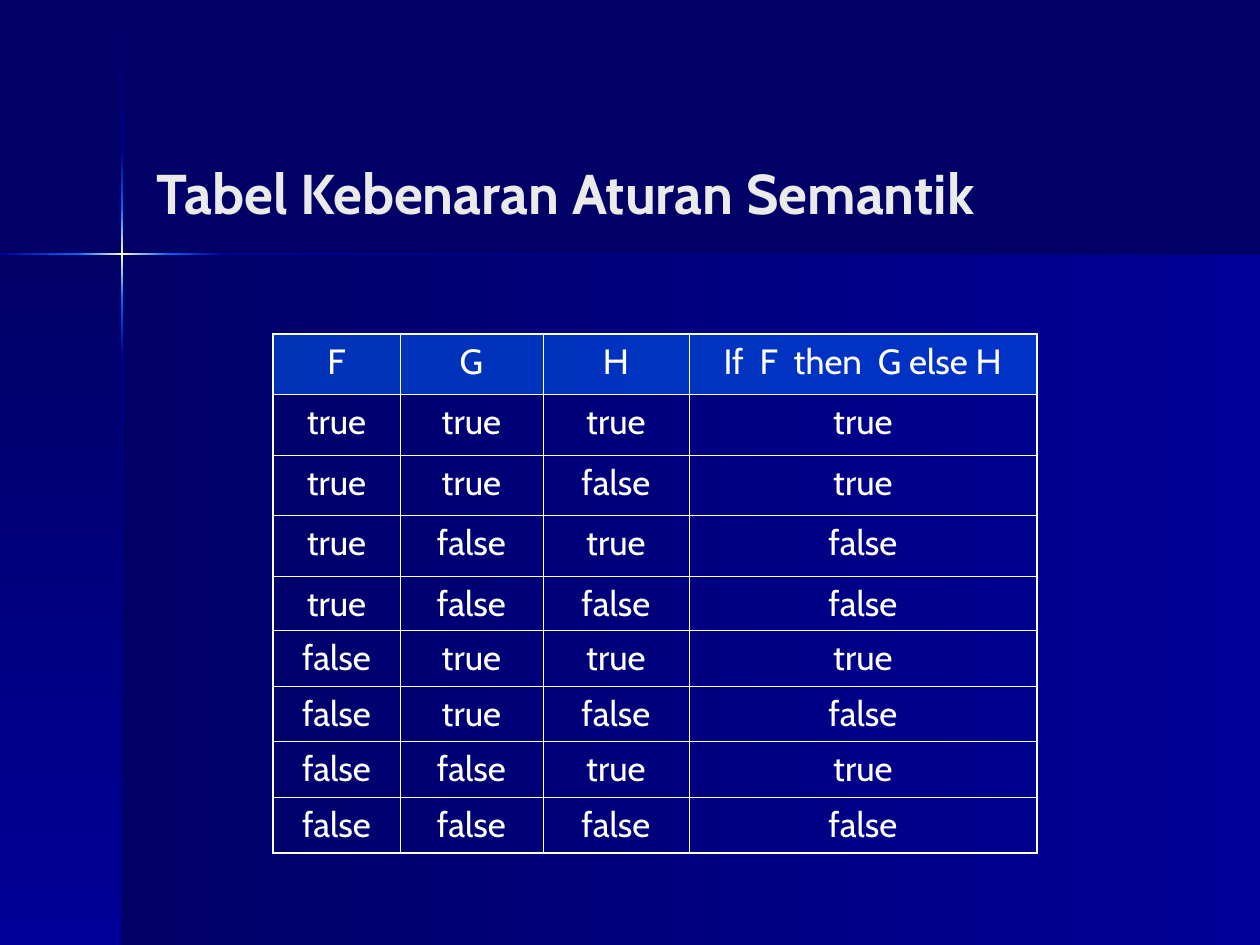
from itertools import pairwise, product

from pptx import Presentation
from pptx import util as u
from pptx.dml import color
from pptx.enum import shapes, text
from pptx.oxml import ns, parse_xml

COLORS = {
    "night": "000066",
    "royal": "000099",
    "azure": "0066FF",
    "cream": "FFFFCC",
    "title": "EAEAEA",
    "white": "FFFFFF",
}
RAY_STOPS = [
    ("night", "royal"),
    ("royal", "azure"),
    ("azure", "cream", "azure"),
    ("azure", "royal"),
    ("royal", "night"),
]
FORMATS = {
    "title": {"name": "Cabin", "size": u.Pt(32), "bold": True},
    "cell": {"name": "Cabin", "size": u.Pt(20), "bold": False},
}
OUTER, INNER = u.Pt(1.08), u.Pt(0.45)


def px(length):
    return u.Emu(round(length * 914400 / 126))


def rgb(name):
    return color.RGBColor.from_string(COLORS[name])


class SlideBuilder:
    def __init__(self, presentation):
        self.slide = presentation.slides.add_slide(presentation.slide_layouts[6])

    def background(self, name):
        fill = self.slide.background.fill
        fill.solid()
        fill.fore_color.rgb = rgb(name)

    def gradient(self, left, top, width, height, stops, vertical):
        shape = self.slide.shapes.add_shape(
            shapes.MSO_SHAPE.RECTANGLE, *map(px, (left, top, width, height)))
        shape.shadow.inherit = False
        shape.line.fill.background()
        shape.fill.background()
        step = 100000 // (len(stops) - 1)
        marks = "".join(
            f'<a:gs pos="{index * step}"><a:srgbClr val="{COLORS[name]}"/></a:gs>'
            for index, name in enumerate(stops))
        angle = 5400000 if vertical else 0
        properties = shape._element.spPr
        properties.replace(properties.find(ns.qn("a:noFill")), parse_xml(
            f'<a:gradFill {ns.nsdecls("a")} rotWithShape="1"><a:gsLst>{marks}</a:gsLst>'
            f'<a:lin ang="{angle}" scaled="0"/></a:gradFill>'))

    def add_words(self, frame, words, style, color_name, alignment):
        paragraph = frame.paragraphs[0]
        paragraph.alignment = alignment
        run = paragraph.add_run()
        run.text = words
        for key, value in FORMATS[style].items():
            setattr(run.font, key, value)
        run.font.color.rgb = rgb(color_name)

    def title(self, left, top, width, height, words):
        box = self.slide.shapes.add_textbox(*map(px, (left, top, width, height)))
        frame = box.text_frame
        frame.word_wrap = True
        frame.vertical_anchor = text.MSO_ANCHOR.MIDDLE
        self.add_words(frame, words, "title", "title", text.PP_ALIGN.LEFT)

    def borders(self, cell, outer_sides):
        properties = cell._tc.get_or_add_tcPr()
        for index, side in enumerate("LRTB"):
            width = OUTER if side in outer_sides else INNER
            properties.insert(index, parse_xml(
                f'<a:ln{side} {ns.nsdecls("a")} w="{width}"><a:solidFill>'
                f'<a:srgbClr val="{COLORS["white"]}"/></a:solidFill></a:ln{side}>'))

    def header_fill(self, cell):
        cell.fill.solid()
        cell.fill.fore_color.rgb = rgb("azure")
        swatch = next(cell._tc.tcPr.iter(ns.qn("a:srgbClr")))
        swatch.append(parse_xml(f'<a:alpha {ns.nsdecls("a")} val="50000"/>'))

    def table(self, left, top, widths, heights, rows):
        table = self.slide.shapes.add_table(
            len(heights), len(widths),
            *map(px, (left, top, sum(widths), sum(heights)))).table
        table.first_row = table.horz_banding = False
        for column, width in zip(table.columns, widths):
            column.width = px(width)
        for row, height in zip(table.rows, heights):
            row.height = px(height)
        last_row, last_column = len(heights) - 1, len(widths) - 1
        for y, values in enumerate(rows):
            for x, value in enumerate(values):
                cell = table.cell(y, x)
                if y == 0:
                    self.header_fill(cell)
                else:
                    cell.fill.background()
                edges = {"L": x == 0, "R": x == last_column, "T": y == 0, "B": y == last_row}
                self.borders(cell, [side for side, on_edge in edges.items() if on_edge])
                self.add_words(cell.text_frame, value, "cell", "white", text.PP_ALIGN.CENTER)


def truth_rows():
    yield "F", "G", "H", "If  F  then  G else H"
    for f, g, h in product(("true", "false"), repeat=3):
        yield f, g, h, g if f == "true" else h


def main():
    presentation = Presentation()
    presentation.slide_width, presentation.slide_height = px(1260), px(945)
    builder = SlideBuilder(presentation)
    builder.background("night")
    builder.gradient(122, 255, 1138, 690, ("night", "royal"), False)
    builder.gradient(0, 255, 122, 690, ("night", "royal"), True)
    for (start, end), stops in zip(pairwise((1, 153, 208, 300, 355, 945)), RAY_STOPS):
        builder.gradient(121, start, 2, end - start, stops, True)
    for (start, end), stops in zip(pairwise((0, 77, 168, 223, 1260)), RAY_STOPS[1:]):
        builder.gradient(start, 253, end - start, 2, stops, False)
    builder.title(144, 155, 1040, 74, "Tabel Kebenaran Aturan Semantik")
    builder.table(273, 334, (127, 143, 146, 348),
                  (60, 61, 60, 61, 55, 56, 55, 56, 55), truth_rows())
    presentation.save("out.pptx")


if __name__ == "__main__":
    main()
